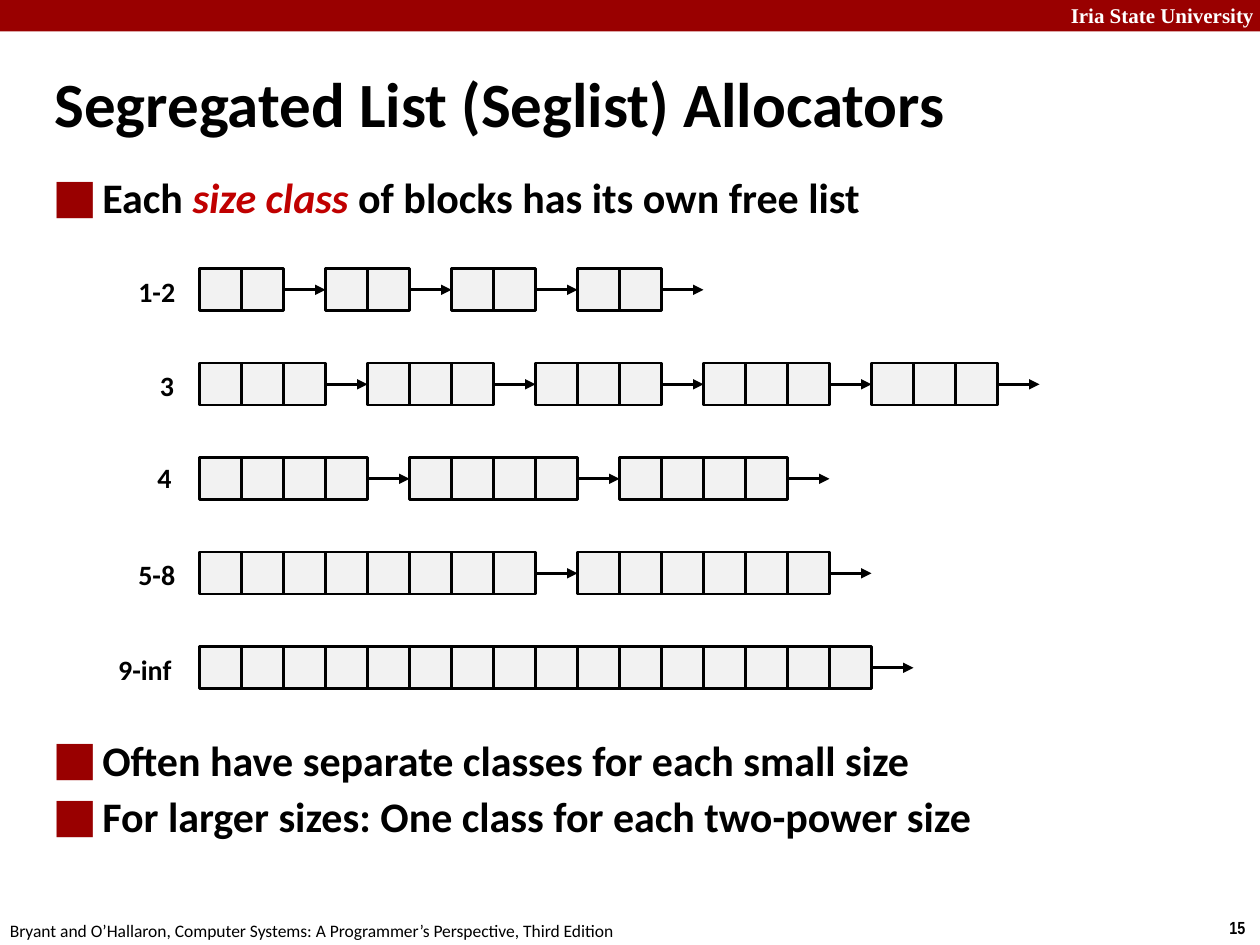
from dataclasses import dataclass

from lxml.etree import SubElement
from pptx import Presentation
from pptx.dml.color import RGBColor
from pptx.enum.shapes import MSO_CONNECTOR as Conn, MSO_SHAPE as Shape
from pptx.enum.text import MSO_ANCHOR as Anchor, PP_ALIGN as Align
from pptx.oxml.ns import qn
from pptx.util import Emu, Inches, Pt

DARK_RED = RGBColor(0x99, 0x00, 0x00)
ACCENT_RED = RGBColor(0xC0, 0x00, 0x00)
BLOCK_GRAY = RGBColor(0xF2, 0xF2, 0xF2)
BLACK = RGBColor(0x00, 0x00, 0x00)
WHITE = RGBColor(0xFF, 0xFF, 0xFF)
BODY_FONT = "Calibri"

# The slide is a grid of square cells, 30 columns by 22.5 rows.
COLUMNS, ROWS = 30, 22.5
WIDTH = Inches(10)
LIST_LEFT, LIST_TOP, LIST_PITCH = 4.75, 6.39, 2.25
LINE_WIDTH = Pt(1.5)


@dataclass(frozen=True)
class Box:
    """A place on the grid, in columns and rows."""
    col: float
    row: float
    cols: float
    rows: float


@dataclass(frozen=True)
class Run:
    text: str
    size: float
    bold: bool = True
    italic: bool = False
    color: RGBColor = BLACK
    font: str = BODY_FONT


@dataclass(frozen=True)
class FreeList:
    label: str
    label_col: float
    label_cols: float
    blocks: tuple[int, ...]
    label_shift: float = 0


FREE_LISTS = (
    FreeList("1-2", 3, 1.5, (2,) * 4),
    FreeList("3", 3.51, 0.96, (3,) * 5),
    FreeList("4", 3.45, 0.96, (4,) * 3, -0.06),
    FreeList("5-8", 3, 1.5, (8, 6)),
    FreeList("9-inf", 2.52, 1.89, (16,)),
)


def cells(n: float) -> Emu:
    return Emu(round(n * WIDTH / COLUMNS))


def place(box: Box) -> tuple[Emu, ...]:
    return tuple(cells(n) for n in (box.col, box.row, box.cols, box.rows))


def add_rect(slide, box: Box, fill: RGBColor, outlined: bool = False) -> None:
    sp = slide.shapes.add_shape(Shape.RECTANGLE, *place(box))
    sp.shadow.inherit = False
    sp.fill.solid()
    sp.fill.fore_color.rgb = fill
    if outlined:
        sp.line.color.rgb = BLACK
        sp.line.width = LINE_WIDTH
    else:
        sp.line.fill.background()


def add_arrow(slide, col: float, row: float) -> None:
    """Draw an arrow one column long, pointing right."""
    line = slide.shapes.add_connector(
        Conn.STRAIGHT, cells(col), cells(row), cells(col + 1), cells(row))
    line.line.color.rgb = BLACK
    line.line.width = LINE_WIDTH
    SubElement(line.line._get_or_add_ln(), qn("a:tailEnd"), type="triangle")
    SubElement(line._element.spPr, qn("a:effectLst"))


def add_runs(p, runs: tuple[Run, ...]) -> None:
    for run in runs:
        r = p.add_run()
        r.text = run.text
        r.font.name = run.font
        r.font.size = Pt(run.size)
        r.font.bold = run.bold
        r.font.italic = run.italic
        r.font.color.rgb = run.color


def add_text(slide, box: Box, *paragraphs: tuple[Run, ...], wrap: bool = False):
    tf = slide.shapes.add_textbox(*place(box)).text_frame
    tf.word_wrap = wrap
    for i, runs in enumerate(paragraphs):
        add_runs(tf.add_paragraph() if i else tf.paragraphs[0], runs)
    return tf


def add_bullets(slide, box: Box, *paragraphs: tuple[Run, ...]) -> None:
    tf = add_text(slide, box, *paragraphs, wrap=True)
    for i, p in enumerate(tf.paragraphs):
        p.line_spacing = 0.95
        p.space_before = Pt(4.8 if i else 0)
        pPr = p._p.get_or_add_pPr()
        indent = Inches(0.38)
        pPr.set("marL", str(indent))
        pPr.set("indent", str(-indent))
        color = SubElement(pPr, qn("a:buClr"))
        SubElement(color, qn("a:srgbClr"), val=str(DARK_RED))
        SubElement(pPr, qn("a:buFont"), typeface=BODY_FONT)
        SubElement(pPr, qn("a:buChar"), char="⬛")


def add_free_list(slide, free: FreeList, row: float) -> None:
    label = Box(free.label_col, row + free.label_shift, free.label_cols, 1.11)
    add_text(slide, label, (Run(free.label, 16),))
    col = LIST_LEFT
    for size in free.blocks:
        for i in range(size):
            add_rect(slide, Box(col + i, row, 1, 1), BLOCK_GRAY, outlined=True)
        col += size
        add_arrow(slide, col, row + 0.51)
        col += 1


def add_frame(slide) -> None:
    """Draw the header bar, the footer and the page number."""
    add_rect(slide, Box(0, 0, COLUMNS, 0.75), DARK_RED)
    header = add_text(
        slide, Box(24.15, -0.09, 6, 0.9),
        (Run("Iria State University", 12, color=WHITE, font="Times New Roman"),),
        wrap=True)
    header.paragraphs[0].alignment = Align.RIGHT
    add_text(slide, Box(28.98, 21.69, 1.02, 0.81),
             (Run("15", 10, font="Arial Narrow"),))
    add_text(slide, Box(-0.06, 21.75, 15.24, 0.81),
             (Run("Bryant and O’Hallaron, Computer Systems: "
                  "A Programmer’s Perspective, Third Edition", 10, bold=False),))


def main() -> None:
    prs = Presentation()
    prs.slide_width, prs.slide_height = WIDTH, cells(ROWS)
    slide = prs.slides.add_slide(prs.slide_layouts[6])

    add_frame(slide)
    title = add_text(slide, Box(1, 1.62, 27, 1.89),
                     (Run("Segregated List (Seglist) Allocators", 36),), wrap=True)
    title.vertical_anchor = Anchor.MIDDLE
    title.paragraphs[0].line_spacing = 0.87

    add_bullets(slide, Box(1, 4.02, 27.27, 1.5), (
        Run("Each ", 24),
        Run("size class ", 24, italic=True, color=ACCENT_RED),
        Run("of blocks has its own free list", 24),
    ))
    for i, free in enumerate(FREE_LISTS):
        add_free_list(slide, free, LIST_TOP + i * LIST_PITCH)
    add_bullets(slide, Box(1, 17.42, 27.27, 3),
                (Run("Often have separate classes for each small size", 24),),
                (Run("For larger sizes: One class for each two-power size", 24),))

    prs.save("out.pptx")


if __name__ == "__main__":
    main()
